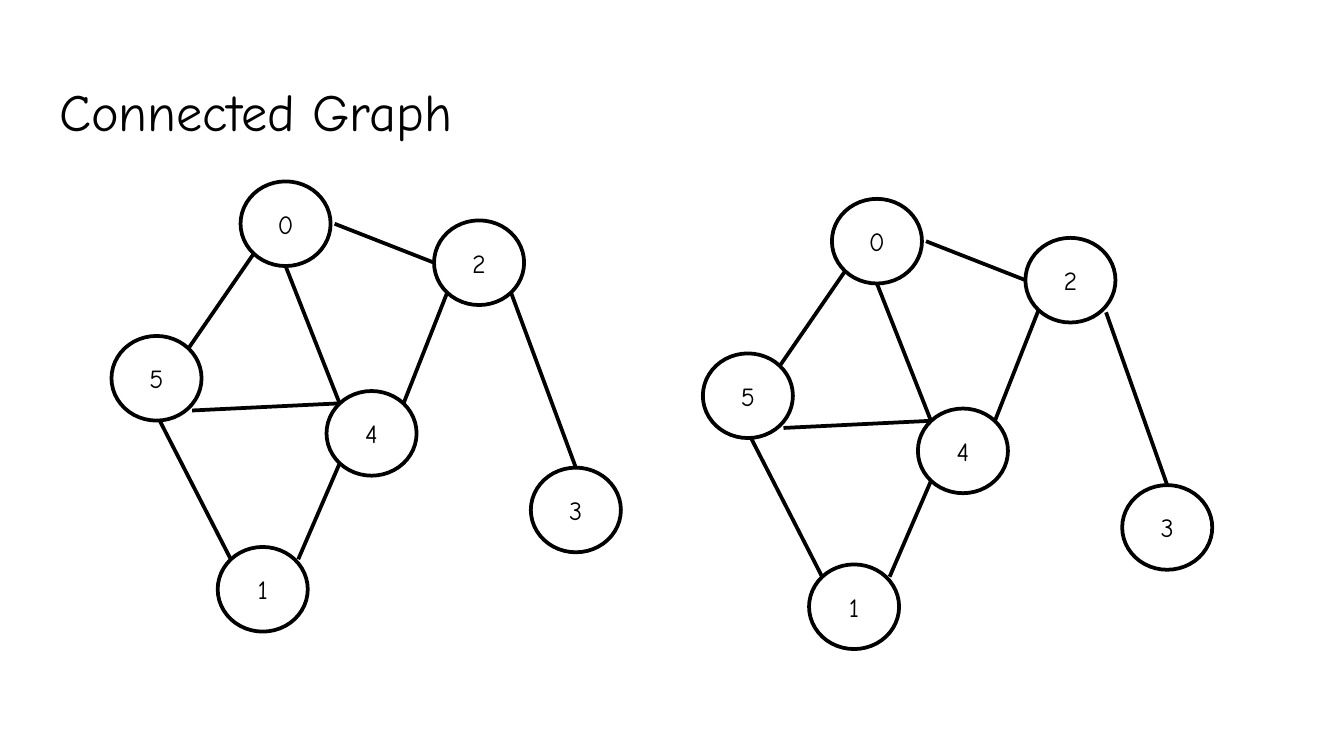
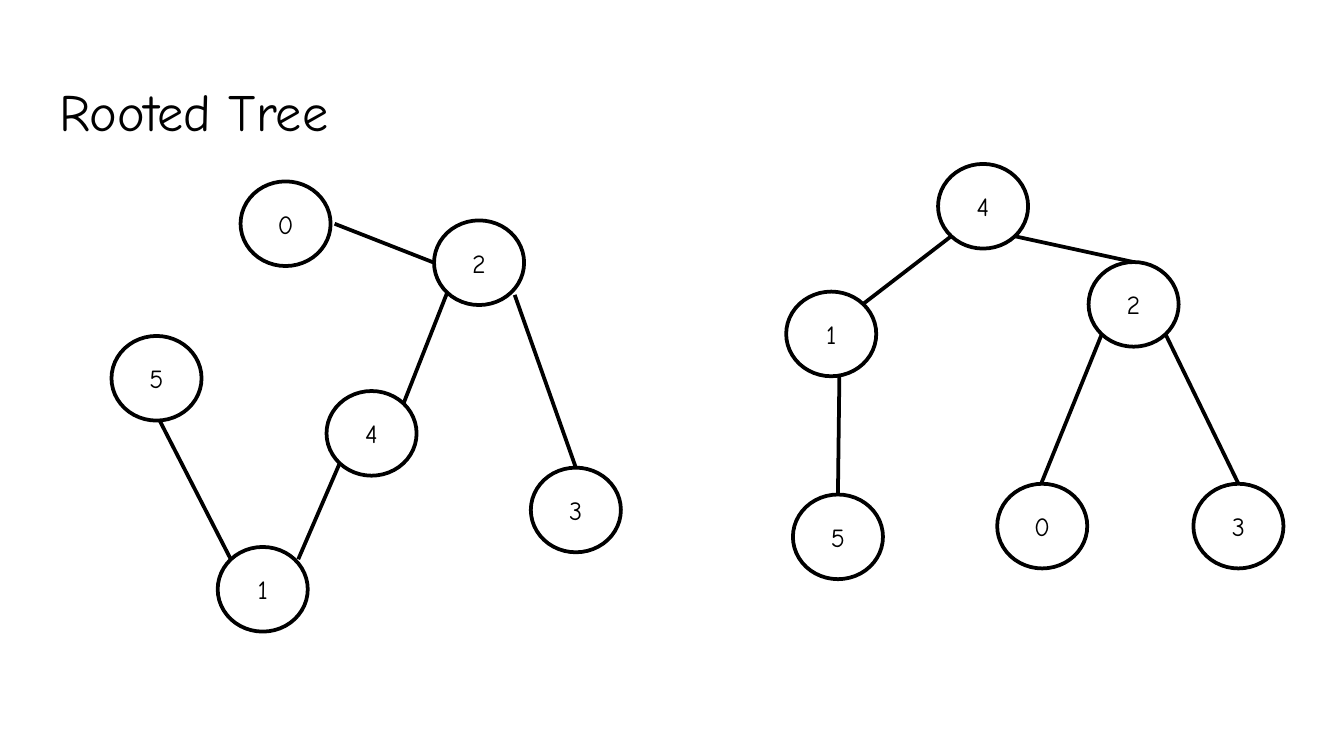
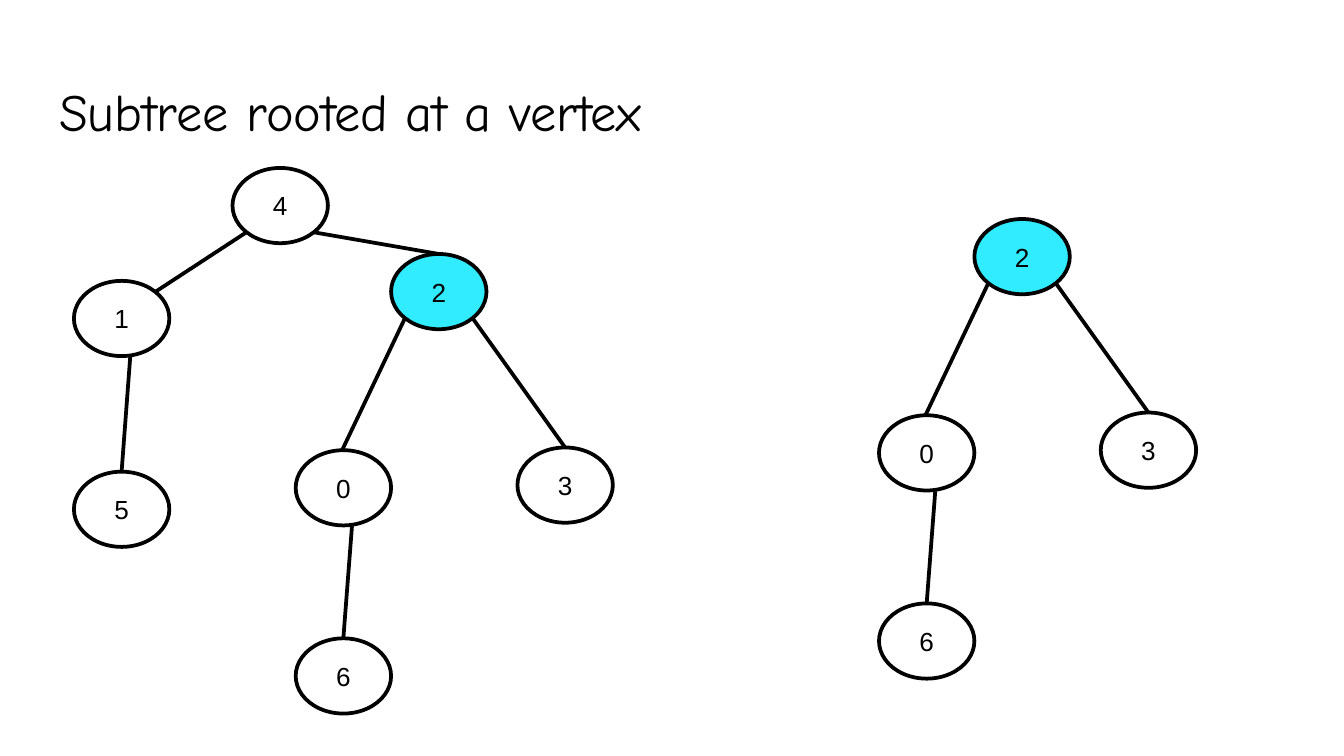
import pptx
import pptx.dml.color
import pptx.enum.shapes
import pptx.enum.text
import pptx.oxml.ns
import pptx.util
from lxml import etree

Inches = pptx.util.Inches
Pt = pptx.util.Pt

BLACK, WHITE, CYAN = "000000", "FFFFFF", "31EBFF"
TITLE_FONT = "Comic Neue"
TITLE_AT = (0.34, 0.49)
TITLE_HEIGHT = 0.63

# Node looks: size in inches and label font
ROUND = {"size": (0.67, 0.63), "font": "Comic Neue"}
WIDE = {"size": (0.71, 0.56), "font": "Arial"}

# Where an edge meets a node, in half widths and half heights from its centre;
# a "+" or "-" marks a slightly shifted variant
SITES = {
    "t": (0, -1), "t-": (-0.12, -0.75),
    "b": (0, 1), "b+": (0.07, 1), "b++": (0.18, 1.02),
    "l": (-1, 0), "r+": (1.09, 0),
    "tl": (-0.71, -0.71), "tr": (0.71, -0.71), "tr+": (0.79, -0.71),
    "bl": (-0.71, 0.71), "br": (0.71, 0.71), "br+": (0.79, 0.76),
}

# Nodes: label -> left, top. Edges: node, site, node, site.
GRAPH = {"0": (1.79, 1.35), "2": (3.23, 1.64), "4": (2.43, 2.91),
         "3": (3.95, 3.48), "1": (1.62, 4.07), "5": (0.83, 2.5)}
PATH_EDGES = [("0", "r+", "2", "l"), ("5", "b+", "1", "tl"),
              ("1", "tr+", "4", "bl"), ("4", "tr", "2", "bl")]
CYCLE_EDGES = [("5", "tr", "0", "bl"), ("0", "b", "4", "tl"),
               ("5", "br+", "4", "tl")]
LEAF_EDGE = [("2", "br", "3", "t")]
LOOSE_LEAF_EDGE = [("2", "br+", "3", "t")]

ROOTED = {"4": (6.98, 1.22), "2": (8.1, 1.95), "1": (5.85, 2.17),
          "3": (8.88, 3.6), "5": (5.9, 3.68), "0": (7.42, 3.6)}
UPPER_EDGES = [("4", "bl", "1", "tr"), ("4", "br", "2", "t"),
               ("1", "b++", "5", "t")]
FORK_EDGES = [("2", "br", "3", "t"), ("2", "bl", "0", "t-")]

SUBTREE = {"2": (2.91, 1.89), "3": (3.85, 3.33), "0": (2.2, 3.35),
           "6": (2.2, 4.75)}
WHOLE_TREE = {"4": (1.73, 1.25), "1": (0.55, 2.09), "5": (0.55, 3.51),
              **SUBTREE}
SUBTREE_EDGES = FORK_EDGES + [("0", "b++", "6", "t")]


def shifted(nodes, dx, dy):
    """Return the nodes moved by dx and dy."""
    return {label: (x + dx, y + dy) for label, (x, y) in nodes.items()}


# Slides: title, title width, node look, highlighted label, (nodes, edges) pairs
SLIDES = [
    ("Connected Graph", 9.32, ROUND, None, [
        (GRAPH, PATH_EDGES + CYCLE_EDGES + LEAF_EDGE),
        (shifted(GRAPH, 4.4, 0.13), PATH_EDGES + CYCLE_EDGES + LOOSE_LEAF_EDGE),
    ]),
    ("Rooted Tree", 9.32, ROUND, None, [
        (GRAPH, PATH_EDGES + LOOSE_LEAF_EDGE),
        (ROOTED, UPPER_EDGES + FORK_EDGES),
    ]),
    ("Subtree rooted at a vertex", 5.26, WIDE, "2", [
        (WHOLE_TREE, UPPER_EDGES + SUBTREE_EDGES),
        (shifted(SUBTREE, 4.34, -0.26), SUBTREE_EDGES),
    ]),
]


def rgb(color):
    """Turn a hex string into a colour."""
    return pptx.dml.color.RGBColor.from_string(color)


def write(tf, text, font, size, align, anchor):
    """Write one formatted run into a text frame."""
    tf.word_wrap = True
    tf.auto_size = pptx.enum.text.MSO_AUTO_SIZE.NONE
    tf.vertical_anchor = anchor
    tf.margin_left = tf.margin_right = Inches(0.1)
    tf.margin_top = tf.margin_bottom = Inches(0.1)
    p = tf.paragraphs[0]
    p.alignment = align
    r = p.add_run()
    r.text = text
    r.font.name = font
    r.font.size = Pt(size)
    r.font.color.rgb = rgb(BLACK)


def outline(line):
    """Give a line the shared colour and width."""
    line.color.rgb = rgb(BLACK)
    line.width = Pt(2)


def add_title(s, text, width):
    """Place and fill the title placeholder."""
    sp = s.shapes.title
    sp.left, sp.top = (Inches(v) for v in TITLE_AT)
    sp.width, sp.height = Inches(width), Inches(TITLE_HEIGHT)
    write(sp.text_frame, text, TITLE_FONT, 28, pptx.enum.text.PP_ALIGN.LEFT,
          pptx.enum.text.MSO_ANCHOR.TOP)


def add_node(s, label, at, look, fill):
    """Draw one labelled node."""
    sp = s.shapes.add_shape(pptx.enum.shapes.MSO_SHAPE.FLOWCHART_CONNECTOR,
                            *(Inches(v) for v in at + look["size"]))
    sp.shadow.inherit = False
    sp.fill.solid()
    sp.fill.fore_color.rgb = rgb(fill)
    outline(sp.line)
    write(sp.text_frame, label, look["font"], 14,
          pptx.enum.text.PP_ALIGN.CENTER, pptx.enum.text.MSO_ANCHOR.MIDDLE)


def site_point(at, size, site):
    """Return the point of a node where an edge meets it."""
    return [Inches(start + length / 2 * (1 + f))
            for start, length, f in zip(at, size, SITES[site])]


def add_edge(s, start, end):
    """Draw one straight edge between two points."""
    line = s.shapes.add_connector(pptx.enum.shapes.MSO_CONNECTOR.STRAIGHT,
                                  *start, *end)
    outline(line.line)
    etree.SubElement(line._element.spPr, pptx.oxml.ns.qn("a:effectLst"))


def add_graph(s, nodes, edges, look, highlight):
    """Draw the edges, then the nodes over their ends."""
    for a, a_site, b, b_site in edges:
        add_edge(s, site_point(nodes[a], look["size"], a_site),
                 site_point(nodes[b], look["size"], b_site))
    for label, at in nodes.items():
        add_node(s, label, at, look, CYAN if label == highlight else WHITE)


prs = pptx.Presentation()
prs.slide_width = Inches(10)
prs.slide_height = Inches(10 * 9 / 16)
for title, title_width, look, highlight, graphs in SLIDES:
    s = prs.slides.add_slide(prs.slide_layouts[5])
    add_title(s, title, title_width)
    for nodes, edges in graphs:
        add_graph(s, nodes, edges, look, highlight)
prs.save("out.pptx")
